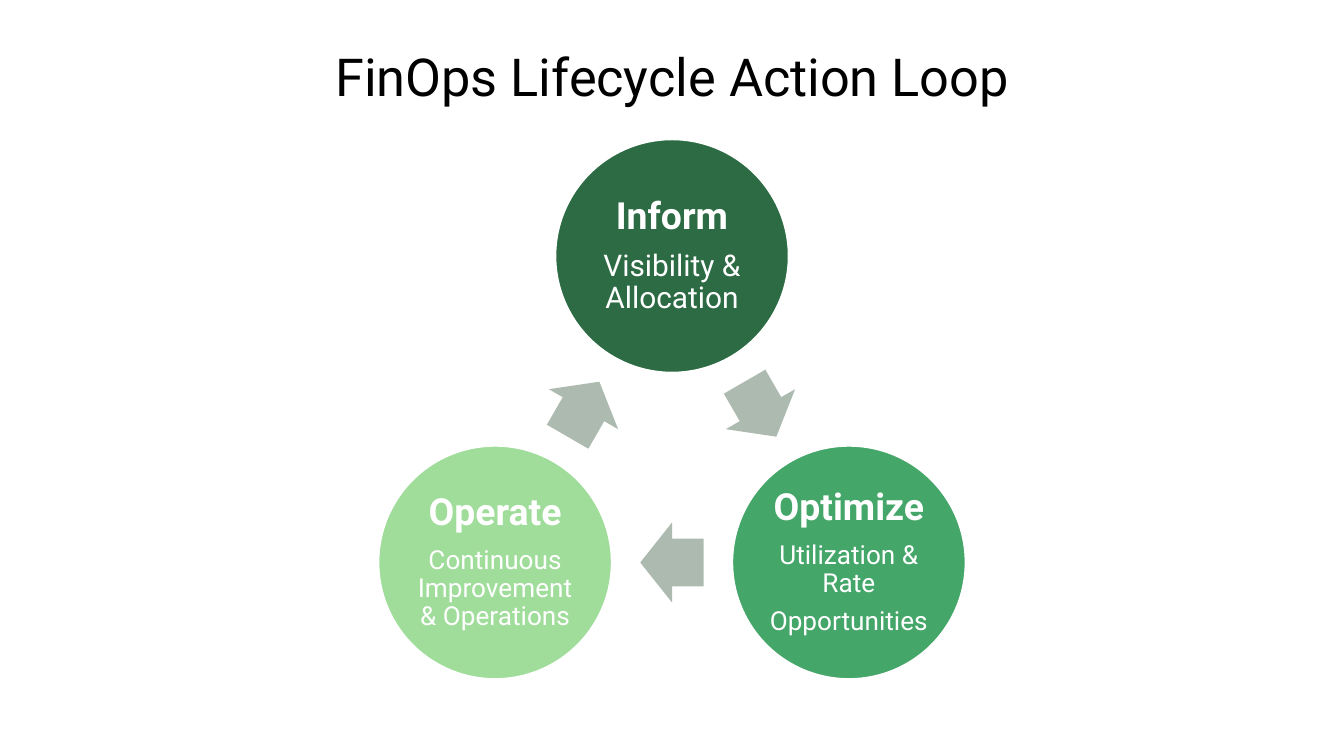
from math import cos, radians, sin

from pptx import Presentation
from pptx.dml.color import RGBColor
from pptx.enum.shapes import MSO_SHAPE
from pptx.enum.text import MSO_ANCHOR, PP_ALIGN
from pptx.util import Inches, Pt

OVAL, ARROW = MSO_SHAPE.OVAL, MSO_SHAPE.RIGHT_ARROW
MIDDLE, CENTER = MSO_ANCHOR.MIDDLE, PP_ALIGN.CENTER
FONT = "Roboto"
WIDE = 10
HIGH = WIDE * 9 / 16

# Stage fill, heading, body size, body paragraphs
STAGES = [
    ("2C6B44", "Inform", 16, ["Visibility & Allocation"]),
    ("45A669", "Optimize", 14, ["Utilization & Rate", "Opportunities"]),
    ("A0DD9B", "Operate", 14, ["Continuous Improvement & Operations"]),
]


def color(code):
    return RGBColor.from_string(code)


def around(x, y, w, h):
    """Box of the given size centred on a point."""
    return [Inches(v) for v in (x - w / 2, y - h / 2, w, h)]


def style(para, size, code, bold=False):
    para.alignment = CENTER
    font = para.font
    font.name, font.size, font.bold = FONT, Pt(size), bold
    font.color.rgb = color(code)


def inset(frame, gap):
    frame.word_wrap = True
    frame.vertical_anchor = MIDDLE
    frame.margin_left = frame.margin_right = Inches(gap)
    frame.margin_top = frame.margin_bottom = Inches(gap)


def add_title(slide, text, box):
    title = slide.shapes.title
    title.left, title.top, title.width, title.height = box
    frame = title.text_frame
    frame.text = text
    inset(frame, 0.1)
    style(frame.paragraphs[0], 28, "000000")


def add_stage(slide, x, y, size, stage):
    fill, head, small, body = stage
    disc = slide.shapes.add_shape(OVAL, *around(x, y, size, size))
    disc.shadow.inherit = False
    disc.fill.solid()
    disc.fill.fore_color.rgb = color(fill)
    disc.line.color.rgb = color("FFFFFF")
    disc.line.width = Pt(2)

    # Label fills the square inscribed in the disc
    side = size * cos(radians(45))
    label = slide.shapes.add_textbox(*around(x, y, side, side))
    frame = label.text_frame
    frame.text = "\n".join([head, *body])
    inset(frame, 0.03)
    for i, para in enumerate(frame.paragraphs):
        points = small if i else 20
        style(para, points, "FFFFFF", bold=i == 0)
        para.line_spacing = 0.9
        para.space_after = Pt(round(0.35 * points))


def add_arrow(slide, x, y, size, turn):
    arrow = slide.shapes.add_shape(
        ARROW, *around(x, y, 0.27 * size, 0.34 * size))
    arrow.rotation = turn
    arrow.adjustments[0], arrow.adjustments[1] = 0.6, 0.5
    arrow.shadow.inherit = False
    arrow.fill.solid()
    arrow.fill.fore_color.rgb = color("ADBAB0")
    arrow.line.fill.background()


def add_loop(slide, x, top, radius, size):
    """Stages spread clockwise from the top, with an arrow after each."""
    y = top + size / 2 + radius
    step = 360 / len(STAGES)
    inner = radius * cos(radians(step / 2))
    for i, stage in enumerate(STAGES):
        angle = i * step - 90
        turn = radians(angle)
        add_stage(slide, x + radius * cos(turn), y + radius * sin(turn),
                  size, stage)
        half = radians(angle + step / 2)
        add_arrow(slide, x + inner * cos(half), y + inner * sin(half),
                  size, angle + step / 2 + 90)


def main():
    deck = Presentation()
    deck.slide_width, deck.slide_height = Inches(WIDE), Inches(HIGH)
    slide = deck.slides.add_slide(deck.slide_layouts[5])
    add_title(slide, "FinOps Lifecycle Action Loop",
              around(WIDE / 2, 0.1 * HIGH, 8.78, 0.33))
    add_loop(slide, WIDE / 2, top=1.03, radius=1.52, size=1.75)
    deck.save("out.pptx")


if __name__ == "__main__":
    main()
